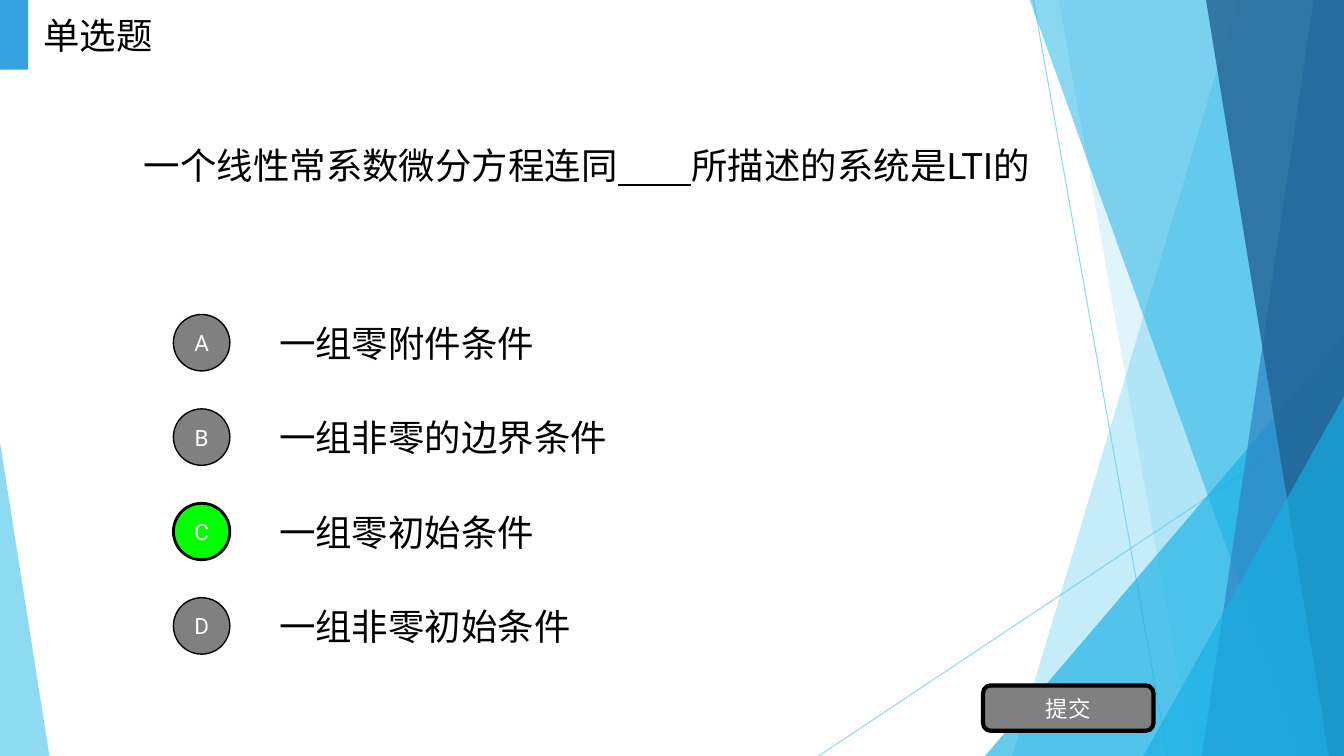
from lxml import etree
from pptx import Presentation
from pptx import util as u
from pptx.dml.color import RGBColor
from pptx.enum import shapes as kinds, text
from pptx.oxml.ns import qn

WIDTH, HEIGHT = 13.33, 7.5
FONT = "Roboto"
BLACK, WHITE, GREY, GREEN = "000000", "FFFFFF", "808080", "00FF00"
SKY, CYAN, BLUE, NAVY, ACCENT = "5FCBEF", "17B0E4", "2E83C3", "226292", "36A3E1"


def paint(fill, color, opacity=100):
    """Make a fill solid, with opacity in percent."""
    fill.solid()
    fill.fore_color.rgb = RGBColor.from_string(color)
    if opacity < 100:
        choice = fill._xPr.find(qn("a:solidFill"))[0]
        etree.SubElement(choice, qn("a:alpha"), val=str(opacity * 1000))


def write(shape, pieces, size, color, align):
    """Fill a shape with one paragraph of (words, underlined) pieces."""
    frame = shape.text_frame
    frame.word_wrap = True
    frame.vertical_anchor = text.MSO_ANCHOR.MIDDLE
    paragraph = frame.paragraphs[0]
    paragraph.alignment = align
    for words, underlined in pieces:
        run = paragraph.add_run()
        run.text = words
        run.font.name = FONT
        run.font.size = u.Pt(size)
        run.font.color.rgb = RGBColor.from_string(color)
        if underlined:
            run.font.underline = True


def add_label(slide, box, *pieces):
    label = slide.shapes.add_textbox(*map(u.Inches, box))
    write(label, pieces, 26, BLACK, text.PP_ALIGN.LEFT)


def add_plain(slide, kind, box, color, opacity=100):
    """Add a preset shape with a fill and no outline."""
    shape = slide.shapes.add_shape(kind, *map(u.Inches, box))
    shape.shadow.inherit = False
    paint(shape.fill, color, opacity)
    shape.line.fill.background()
    return shape


def add_button(slide, kind, box, caption, color, border):
    button = add_plain(slide, kind, box, color)
    paint(button.line.fill, BLACK)
    button.line.width = u.Pt(border)
    write(button, [(caption, False)], 16, WHITE, text.PP_ALIGN.CENTER)


def add_ray(slide, start, end):
    ray = slide.shapes.add_connector(
        kinds.MSO_CONNECTOR.STRAIGHT, *map(u.Inches, start + end))
    paint(ray.line.fill, SKY, 70)
    ray.line.width = u.Pt(0.75)
    etree.SubElement(ray._element.spPr, qn("a:effectLst"))


def add_shard(slide, top_x, bottom_x, color, opacity):
    """Add a facet from a slanted left edge to the right side of the slide."""
    top = -0.01
    corners = [(top_x, top), (WIDTH, top), (WIDTH, HEIGHT), (bottom_x, HEIGHT)]
    points = [(u.Inches(x), u.Inches(y)) for x, y in corners]
    builder = slide.shapes.build_freeform(*points[0])
    builder.add_line_segments(points[1:], close=True)
    shard = builder.convert_to_shape()
    shard.shadow.inherit = False
    paint(shard.fill, color, opacity)
    shard.line.fill.background()


def add_wedge(slide, left, top, width, apex, color, opacity):
    """Add a triangle standing on the bottom edge of the slide."""
    wedge = add_plain(slide, kinds.MSO_SHAPE.ISOSCELES_TRIANGLE,
                      (left, top, width, HEIGHT - top), color, opacity)
    wedge.adjustments[0] = apex


def add_backdrop(slide):
    add_ray(slide, (10.25, 0), (11.58, HEIGHT))
    add_ray(slide, (WIDTH, 4.03), (8.12, HEIGHT))
    add_shard(slide, 12.28, 10.04, SKY, 36)
    add_shard(slide, 10.5, 11.83, SKY, 20)
    add_wedge(slide, 9.77, 3.33, WIDTH - 9.77, 1, CYAN, 66)
    add_shard(slide, 10.21, 12.91, CYAN, 50)
    add_shard(slide, 13.03, 11.92, BLUE, 70)
    add_shard(slide, 11.96, 13.18, NAVY, 80)
    add_wedge(slide, 11.34, 3.93, WIDTH - 11.34, 1, CYAN, 66)
    add_wedge(slide, 0, 4.39, 0.49, 0, SKY, 70)


def add_options(slide, box, options, answer):
    """Stack lettered options evenly in the box, the answer in green."""
    left, top, width, height = box
    row, size, indent = 0.7, 0.56, 0.95
    pitch = (height - row) / (len(options) - 1)
    for index, (letter, words) in enumerate(options.items()):
        y = top + index * pitch
        add_label(slide, (left + indent, y, width - indent, row), (words, False))
        color, border = (GREEN, 2) if letter == answer else (GREY, 1)
        add_button(slide, kinds.MSO_SHAPE.OVAL,
                   (left, y + (row - size) / 2, size, size), letter, color, border)


def add_heading(slide, box, words):
    left, top, width, height = box
    bar, gap = 0.28, 0.05
    add_plain(slide, kinds.MSO_SHAPE.RECTANGLE, (left, top, bar, height), ACCENT)
    add_label(slide, (left + bar + gap, top, width - bar - gap, height), (words, False))


def main():
    deck = Presentation()
    deck.slide_width, deck.slide_height = u.Inches(WIDTH), u.Inches(HEIGHT)
    slide = deck.slides.add_slide(deck.slide_layouts[6])
    add_backdrop(slide)
    add_label(slide, (1.33, 0.47, 10.67, 2.34),
              ("一个线性常系数微分方程连同", False),
              ("         ", True),
              ("所描述的系统是LTI的", False))
    options = {"A": "一组零附件条件", "B": "一组非零的边界条件",
               "C": "一组零初始条件", "D": "一组非零初始条件"}
    add_options(slide, (1.72, 3.05, 10.28, 3.51), options, answer="C")
    add_button(slide, kinds.MSO_SHAPE.ROUNDED_RECTANGLE,
               (9.75, 6.8, 1.69, 0.45), "提交", GREY, 3)
    add_heading(slide, (0, 0, 1.72, 0.69), "单选题")
    deck.save("out.pptx")


if __name__ == "__main__":
    main()
